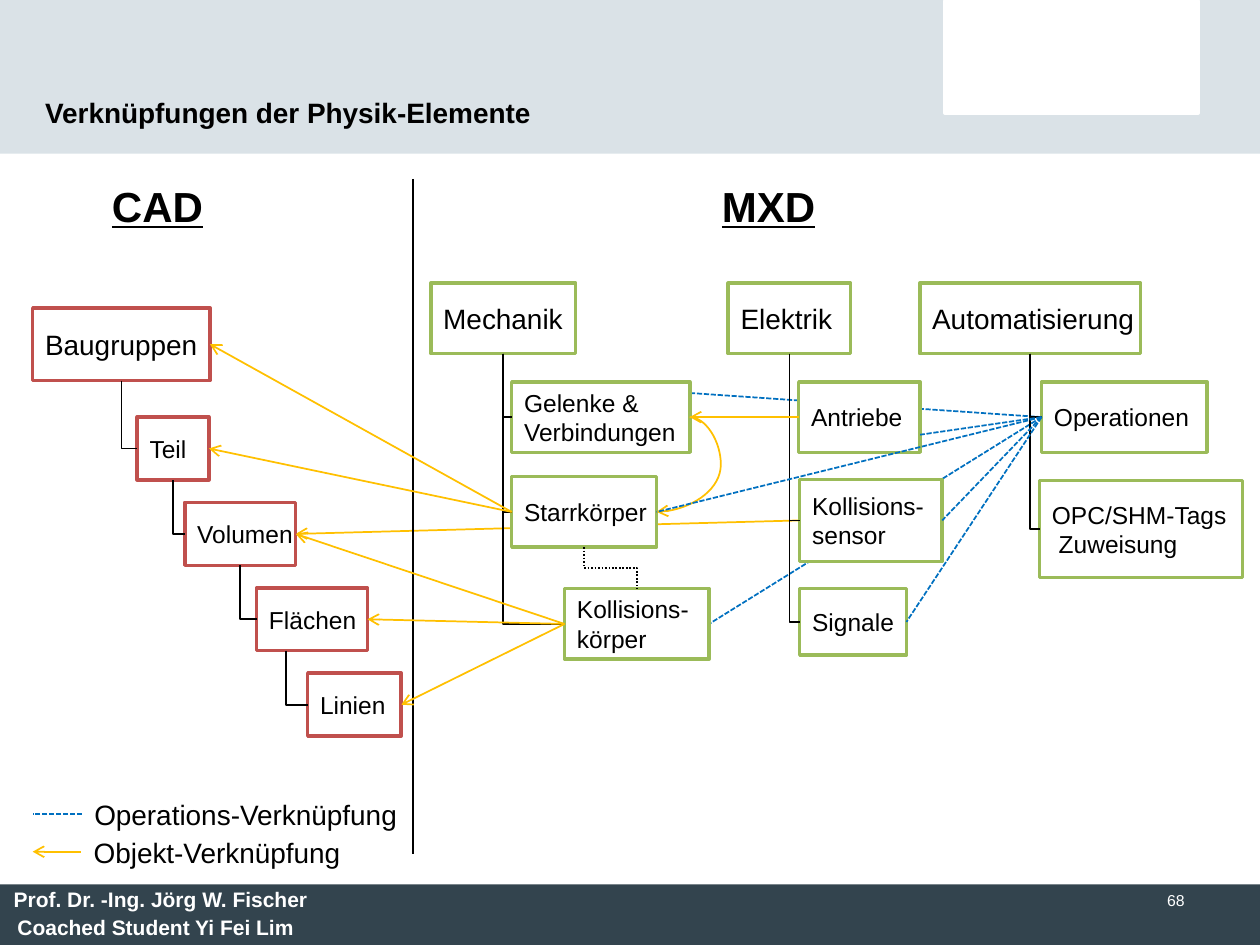
from lxml import etree
from pptx import Presentation
from pptx.dml.color import RGBColor
from pptx.enum.dml import MSO_LINE
from pptx.enum.shapes import MSO_CONNECTOR, MSO_SHAPE
from pptx.enum.text import MSO_ANCHOR, PP_ALIGN
from pptx.oxml.ns import qn
from pptx.util import Pt

RECTANGLE = MSO_SHAPE.RECTANGLE
STRAIGHT, ELBOW, CURVE = MSO_CONNECTOR.STRAIGHT, MSO_CONNECTOR.ELBOW, MSO_CONNECTOR.CURVE
DASHED, DOTTED = MSO_LINE.SQUARE_DOT, MSO_LINE.ROUND_DOT
TOP, MIDDLE, BOTTOM = MSO_ANCHOR.TOP, MSO_ANCHOR.MIDDLE, MSO_ANCHOR.BOTTOM
LEFT, RIGHT = PP_ALIGN.LEFT, PP_ALIGN.RIGHT
TOP_SIDE, LEFT_SIDE, BOTTOM_SIDE, RIGHT_SIDE = range(4)

FONT = "Arial"
COLORS = {
    "white": "FFFFFF", "black": "000000", "header": "DAE2E7", "footer": "33444E",
    "cad": "C0504D", "physics": "9BBB59", "operation": "0070C0", "object": "FFC000",
}
ROW_HEIGHT = 40.3
STEP_TOP, STEP_GAP, STEP_HEIGHT = 238.3, 48.8, 36

CAD_STEPS = [("Teil", 78.4, 41), ("Volumen", 105.6, 63.4),
             ("Flächen", 146.6, 63.4), ("Linien", 175.8, 53.5)]
PHYSICS_HEADS = [("Mechanik", 246.2, 82.8), ("Elektrik", 416.1, 70),
                 ("Automatisierung", 525.6, 126.2)]
PHYSICS_BOXES = [
    ("Starrkörper", 292.4, 272.4, 82.8, ROW_HEIGHT),
    ("Gelenke &\nVerbindungen", 292.4, 218.2, 101.8, ROW_HEIGHT),
    ("Kollisions-\nkörper", 322.6, 336.4, 82.6, ROW_HEIGHT),
    ("Antriebe", 456.4, 218.2, 69.4, ROW_HEIGHT),
    ("Signale", 457, 336.4, 61, 38),
    ("Kollisions-\nsensor", 457, 274, 81.4, 46.8),
    ("Operationen", 595.2, 218.2, 94.6, ROW_HEIGHT),
    ("OPC/SHM-Tags\n Zuweisung", 594, 274.6, 116, 55.4),
]
TREE = [
    ("Baugruppen", "Teil"), ("Teil", "Volumen"), ("Volumen", "Flächen"),
    ("Mechanik", "Gelenke"), ("Mechanik", "Starrkörper"), ("Mechanik", "körper"),
    ("Elektrik", "Antriebe"), ("Elektrik", "sensor"), ("Elektrik", "Signale"),
    ("Automatisierung", "Operationen"), ("Automatisierung", "OPC/SHM-Tags"),
]
OBJECT_LINKS = [("Starrkörper", "Teil"), ("Starrkörper", "Baugruppen"), ("Antriebe", "Gelenke"),
                ("körper", "Flächen"), ("körper", "Linien"), ("körper", "Volumen")]


def color(name):
    return RGBColor.from_string(COLORS[name])


def add_text(shape, text, size, font_color="black", bold=False, underline=False,
             anchor=TOP, align=LEFT, wrap=True):
    frame = shape.text_frame
    frame.word_wrap = wrap
    frame.vertical_anchor = anchor
    paragraph = frame.paragraphs[0]
    paragraph.alignment = align
    for index, line in enumerate(text.split("\n")):
        if index:
            paragraph.add_line_break()
        run = paragraph.add_run()
        run.text = line
        run.font.name = FONT
        run.font.size = Pt(size)
        run.font.bold = bold
        run.font.underline = underline
        run.font.color.rgb = color(font_color)


def add_label(slide, text, left, top, width, height, size, **style):
    shape = slide.shapes.add_textbox(Pt(left), Pt(top), Pt(width), Pt(height))
    add_text(shape, text, size, **style)


def add_panel(slide, left, top, width, height, fill, outline=None):
    shape = slide.shapes.add_shape(RECTANGLE, Pt(left), Pt(top), Pt(width), Pt(height))
    shape.shadow.inherit = False
    shape.fill.solid()
    shape.fill.fore_color.rgb = color(fill)
    if outline:
        shape.line.color.rgb = color(outline)
        shape.line.width = Pt(2)
    else:
        shape.line.fill.background()
    return shape


def add_box(slide, text, left, top, width, height, outline, size=14):
    shape = add_panel(slide, left, top, width, height, "white", outline)
    add_text(shape, text, size, anchor=MIDDLE, wrap=False)
    return shape


def add_link(slide, begin, end, line_color="black", kind=STRAIGHT, dash=None, arrow=False):
    connector = slide.shapes.add_connector(kind, 0, 0, 0, 0)
    if isinstance(begin[0], (int, float)):
        connector.begin_x, connector.begin_y = Pt(begin[0]), Pt(begin[1])
    else:
        connector.begin_connect(*begin)
    if isinstance(end[0], (int, float)):
        connector.end_x, connector.end_y = Pt(end[0]), Pt(end[1])
    else:
        connector.end_connect(*end)
    connector.line.color.rgb = color(line_color)
    connector.line.width = Pt(1)
    if dash:
        connector.line.dash_style = dash
    properties = connector._element.spPr
    if arrow:
        etree.SubElement(properties.find(qn("a:ln")), qn("a:tailEnd"), type="arrow")
    etree.SubElement(properties, qn("a:effectLst"))
    return connector


def add_elbow(slide, begin, end, preset="bentConnector2", dash=None):
    connector = add_link(slide, begin, end, kind=ELBOW, dash=dash)
    width, height = connector.width, connector.height
    connector.left += (width - height) // 2
    connector.top += (height - width) // 2
    connector.width, connector.height = height, width
    properties = connector._element.spPr
    transform = properties.find(qn("a:xfrm"))
    transform.set("rot", "16200000")
    transform.set("flipH", "1")
    properties.find(qn("a:prstGeom")).set("prst", preset)


def add_curve(slide, begin, end, bend):
    connector = add_link(slide, begin, end, "object", CURVE, arrow=True)
    geometry = connector._element.spPr.find(qn("a:prstGeom"))
    adjustments = geometry.find(qn("a:avLst"))
    if adjustments is None:
        adjustments = etree.SubElement(geometry, qn("a:avLst"))
    etree.SubElement(adjustments, qn("a:gd"), name="adj1", fmla=f"val {bend}")


def add_frame(slide):
    add_panel(slide, 0, 0, 720, 87.8, "header")
    add_panel(slide, 540, 0.7, 144.7, 64, "white", "white")
    add_panel(slide, 0, 505.4, 720, 34.6, "footer")
    add_label(slide, "Prof. Dr. -Ing. Jörg W. Fischer", 0.7, 503.3, 193, 21.6, 12,
              font_color="white", bold=True)
    add_label(slide, "Coached Student Yi Fei Lim", 2.9, 519.1, 176.4, 21.6, 12,
              font_color="white", bold=True)
    add_label(slide, "68", 516.2, 505.4, 167.8, 34.6, 9, font_color="white", align=RIGHT)
    add_label(slide, "Verknüpfungen der Physik-Elemente", 18.7, 31.7, 437, 45.4, 16,
              bold=True, anchor=BOTTOM)
    for text, left in (("CAD", 56.9), ("MXD", 405.4)):
        add_label(slide, text, left, 99.4, 72.7, 36.7, 24, bold=True, underline=True)


def add_boxes(slide):
    boxes = {"Baugruppen": add_box(slide, "Baugruppen", 18.7, 175.9, 101.3, 41.6, "cad", 16)}
    for index, (text, left, width) in enumerate(CAD_STEPS):
        boxes[text] = add_box(slide, text, left, STEP_TOP + index * STEP_GAP,
                              width, STEP_HEIGHT, "cad")
    for text, left, width in PHYSICS_HEADS:
        boxes[text] = add_box(slide, text, left, 161.8, width, ROW_HEIGHT, "physics", 16)
    for text, *area in PHYSICS_BOXES:
        first, _, second = text.partition("\n")
        key = second if first == "Kollisions-" else first.split()[0]
        boxes[key] = add_box(slide, text, *area, "physics")
    return boxes


def add_links(slide, boxes):
    operations = (boxes["Operationen"], LEFT_SIDE)
    behind = [
        add_link(slide, operations, (394.6, 224.6), "operation", dash=DASHED),
        add_link(slide, operations, (boxes["körper"], RIGHT_SIDE), "operation", dash=DASHED),
        add_link(slide, (boxes["sensor"], LEFT_SIDE), (boxes["Volumen"], RIGHT_SIDE),
                 "object", arrow=True),
    ]
    for connector in behind:
        boxes["Baugruppen"]._element.addprevious(connector._element)

    add_link(slide, (236.2, 102.2), (236.2, 488.2))
    for parent, child in TREE:
        add_elbow(slide, (boxes[parent], BOTTOM_SIDE), (boxes[child], LEFT_SIDE))
    add_elbow(slide, (163.6, 371.9), (boxes["Linien"], LEFT_SIDE))
    add_elbow(slide, (boxes["Starrkörper"], BOTTOM_SIDE), (boxes["körper"], TOP_SIDE),
              "bentConnector3", DOTTED)

    for source, target in OBJECT_LINKS:
        add_link(slide, (boxes[source], LEFT_SIDE), (boxes[target], RIGHT_SIDE),
                 "object", arrow=True)
    add_curve(slide, (boxes["Gelenke"], RIGHT_SIDE), (boxes["Starrkörper"], RIGHT_SIDE), -93600)
    add_link(slide, operations, (525.8, 248.4), "operation", dash=DASHED)
    for target in ("sensor", "Signale", "Starrkörper"):
        add_link(slide, operations, (boxes[target], RIGHT_SIDE), "operation", dash=DASHED)


def add_legend(slide):
    add_link(slide, (46.8, 465.1), (18.7, 465.1), "operation", dash=DASHED)
    add_label(slide, "Operations-Verknüpfung", 46.8, 452.2, 189.4, 26.6, 16, wrap=False)
    add_link(slide, (46.1, 486.7), (18.7, 486.7), "object", arrow=True)
    add_label(slide, "Objekt-Verknüpfung", 46.4, 473.8, 157, 26.6, 16, wrap=False)


def main():
    presentation = Presentation()
    presentation.slide_width, presentation.slide_height = Pt(720), Pt(540)
    slide = presentation.slides.add_slide(presentation.slide_layouts[6])
    add_frame(slide)
    boxes = add_boxes(slide)
    add_links(slide, boxes)
    add_legend(slide)
    presentation.save("out.pptx")


if __name__ == "__main__":
    main()
